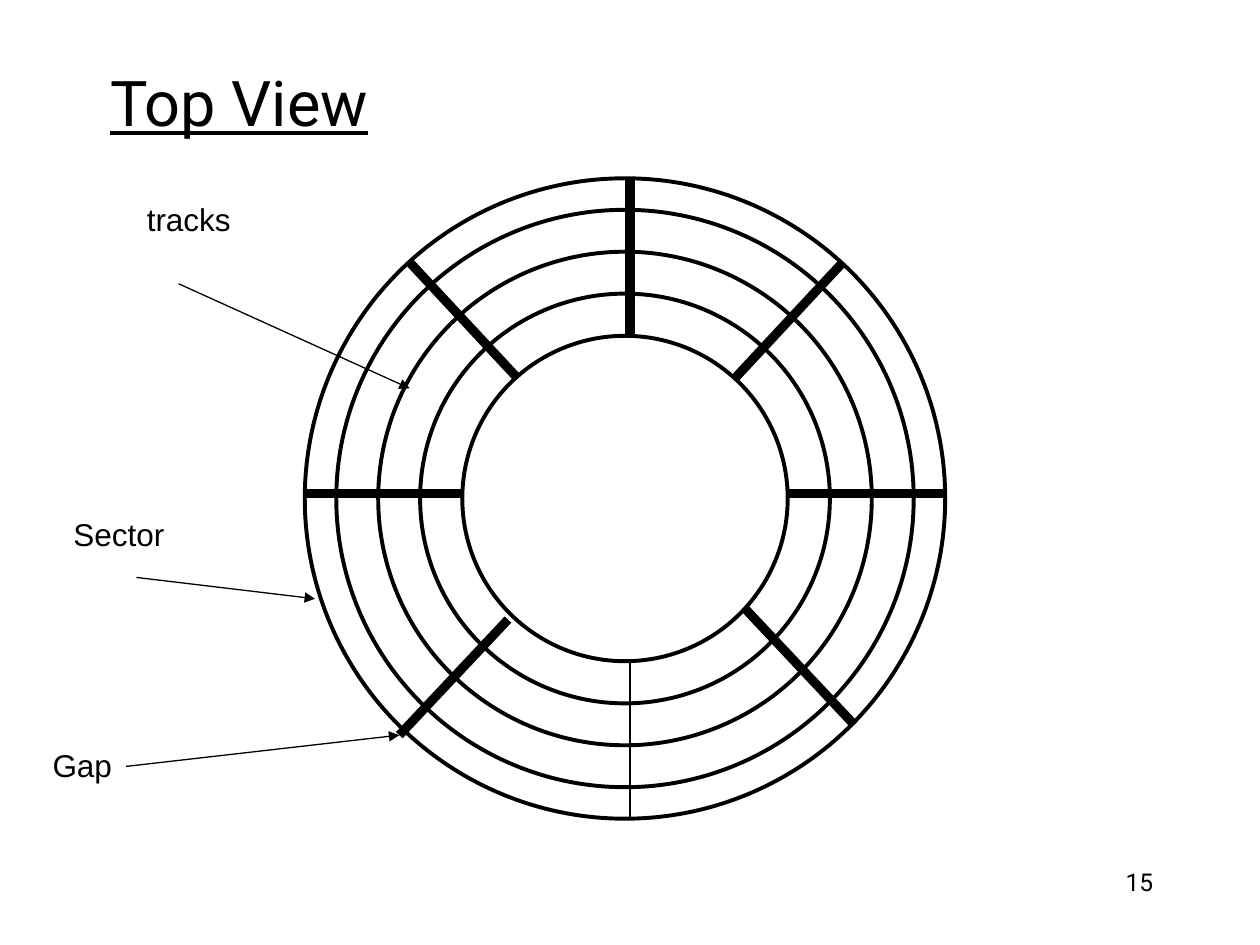
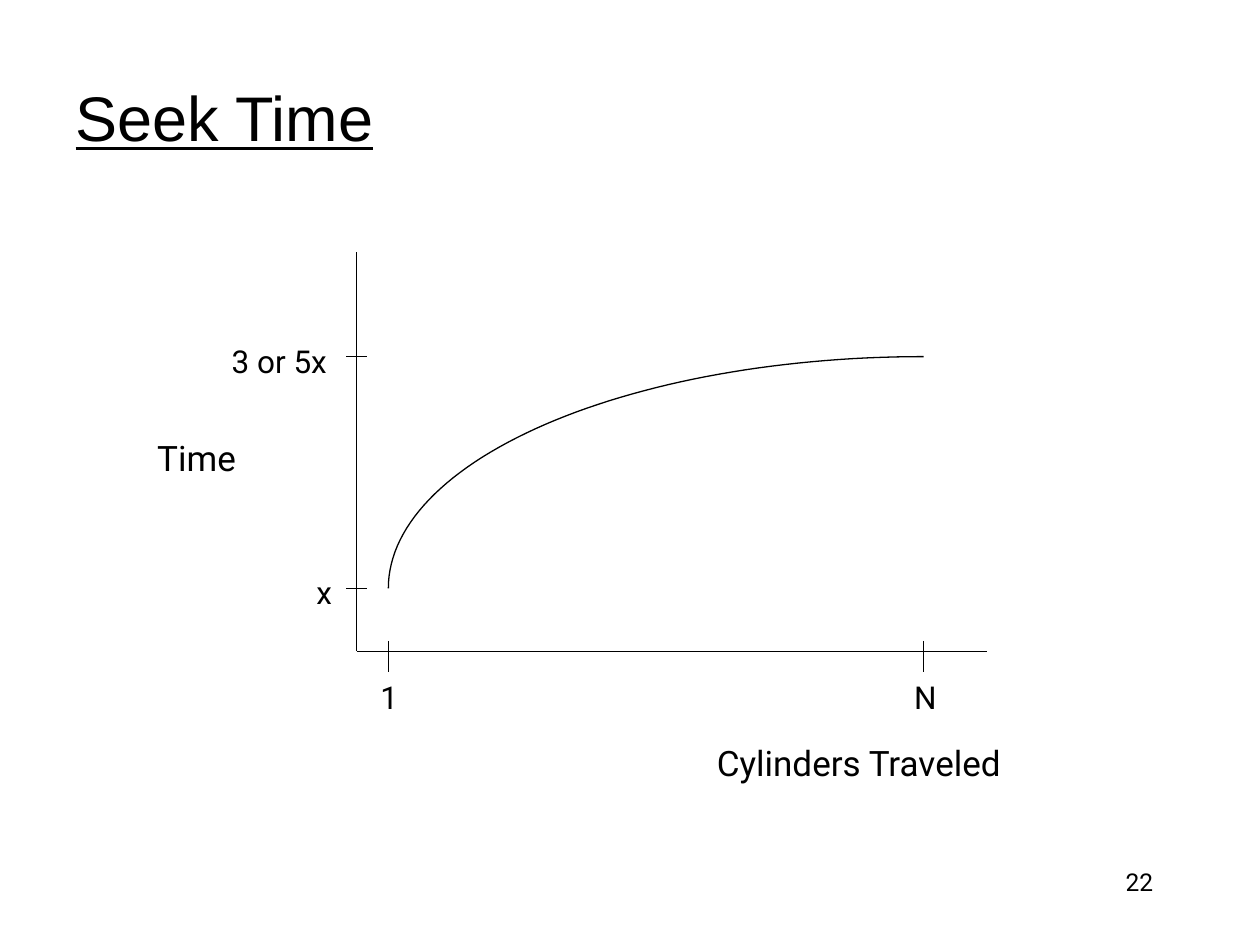
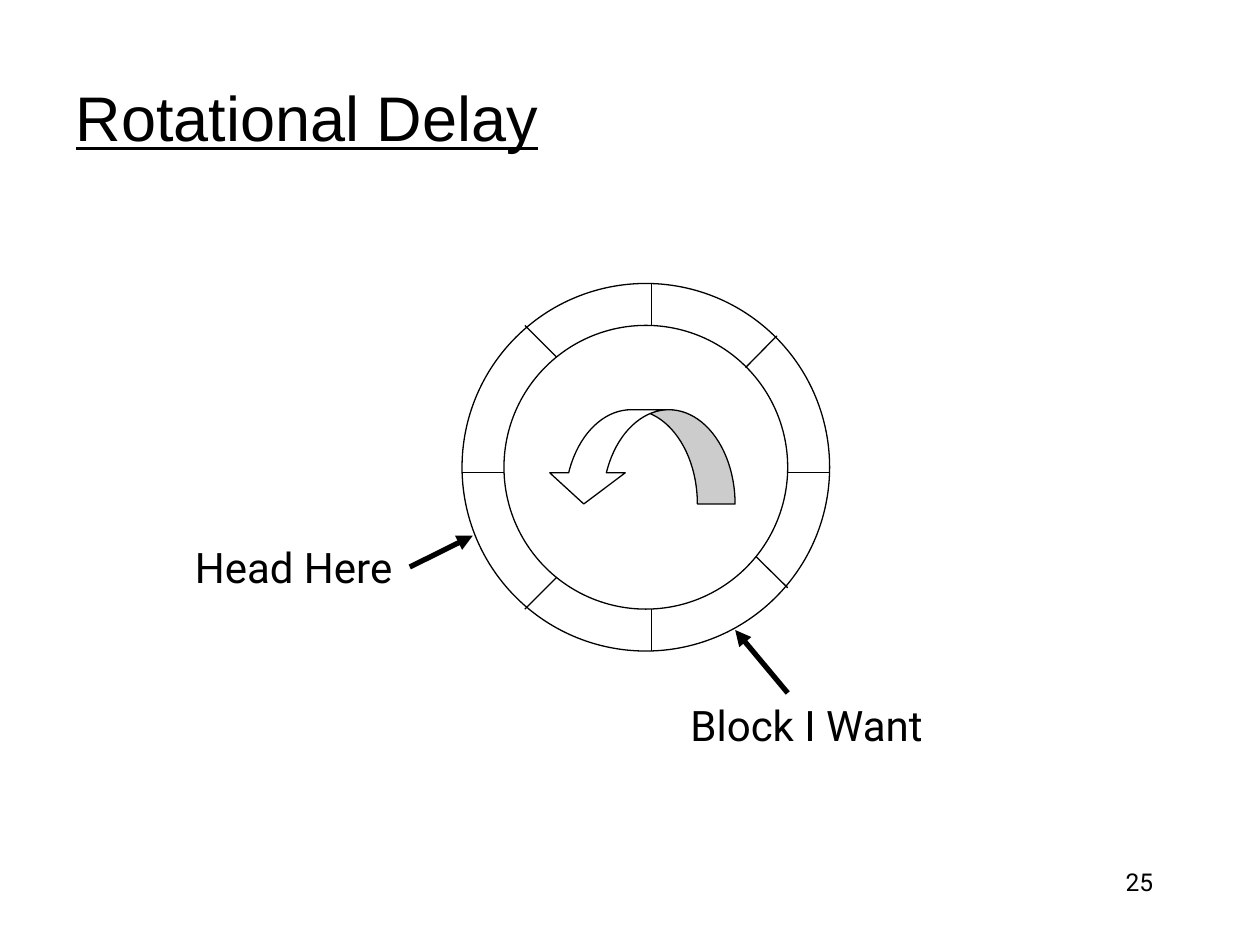
import math

import pptx
import pptx.dml.color
import pptx.enum.shapes
import pptx.enum.text
import pptx.oxml
import pptx.oxml.ns
import pptx.util
from pptx.util import Cm

BLACK = pptx.dml.color.RGBColor(0x00, 0x00, 0x00)
WHITE = pptx.dml.color.RGBColor(0xFF, 0xFF, 0xFF)
SANS, ROBOTO = "Arial", "Roboto"
THIN, RING, POINTER, GAP = 0.75, 2.25, 3, 5.25
WIDE_TITLE = (1.27, 0.76, 22.86, 3.18)
PAGE_NUMBER = (18.21, 17.35, 5.29, 1.27)

TOP_VIEW = {
    "title": ("Top View", ROBOTO, (1.97, 1.15, 5.95, 1.79)),
    "page": "15",
    "centre": (12.6, 10.05),
    "diameters": (12.91, 11.64, 9.95, 8.26, 6.56),
    "ring_width": RING,
    "dividers": [
        (12.7, 16.51, 12.7, 13.34, THIN),
        (12.7, 6.77, 12.7, 3.6, GAP),
        (19.05, 9.95, 15.88, 9.95, GAP),
        (9.31, 9.95, 6.14, 9.95, GAP),
        (16.99, 5.29, 14.82, 7.62, GAP),
        (10.24, 12.49, 8.05, 14.82, GAP),
        (15.03, 12.28, 17.22, 14.61, GAP),
        (8.26, 5.29, 10.43, 7.62, GAP),
    ],
    "pointers": [
        (3.6, 5.72, 8.26, 7.83, THIN),
        (2.75, 11.64, 6.35, 12.07, THIN),
        (2.54, 15.45, 8.05, 14.82, THIN),
    ],
    "labels": [
        ("tracks", 2.71, 3.91, 2.25, 18, SANS),
        ("Sector", 1.23, 10.26, 2.37, 18, SANS),
        ("Gap", 0.81, 14.91, 1.75, 18, SANS),
    ],
}

SEEK_TIME = {
    "title": ("Seek Time", SANS, WIDE_TITLE),
    "page": "22",
    "origin": (7.19, 13.13),
    "axis_ends": (19.9, 5.08),
    "cylinders": (7.83, 18.62),
    "times": (11.86, 7.19),
    "labels": [
        ("3 or 5x", 4.42, 6.77, 2.54, 18, ROBOTO),
        ("x", 6.13, 11.43, 0.85, 18, ROBOTO),
        ("1", 7.42, 13.55, 0.86, 18, ROBOTO),
        ("N", 18.18, 13.55, 0.99, 18, ROBOTO),
        ("Cylinders Traveled", 14.2, 14.82, 6.6, 20, ROBOTO),
        ("Time", 2.92, 8.68, 2.13, 20, ROBOTO),
    ],
}

ROTATIONAL_DELAY = {
    "title": ("Rotational Delay", SANS, WIDE_TITLE),
    "page": "25",
    "centre": (13.02, 9.42),
    "diameters": (7.41, 5.72),
    "ring_width": THIN,
    "dividers": [
        (13.13, 5.72, 13.13, 6.56, THIN),
        (13.13, 12.28, 13.13, 13.12, THIN),
        (15.88, 9.53, 16.72, 9.53, THIN),
        (9.31, 9.53, 10.16, 9.53, THIN),
        (15.03, 7.41, 15.66, 6.77, THIN),
        (10.58, 12.28, 11.22, 11.64, THIN),
        (15.24, 11.22, 15.88, 11.85, THIN),
        (10.58, 6.56, 11.22, 7.2, THIN),
    ],
    "spin": (11.01, 8.26, 3.81, 1.9),
    "spin_adjustments": (0.4, 0.8, 0.33),
    "pointers": [
        (8.26, 11.43, 9.53, 10.8, POINTER),
        (15.88, 13.97, 14.82, 12.7, POINTER),
    ],
    "labels": [
        ("Head Here", 3.68, 10.8, 4.75, 24, ROBOTO),
        ("Block I Want", 13.67, 13.97, 5.46, 24, ROBOTO),
    ],
}


def cm(box):
    return [Cm(length) for length in box]


def write(frame, text, size, font, underline=None, align=pptx.enum.text.PP_ALIGN.LEFT):
    frame.text = text
    paragraph = frame.paragraphs[0]
    paragraph.alignment = align
    paragraph.font.size = pptx.util.Pt(size)
    paragraph.font.name = font
    paragraph.font.underline = underline
    paragraph.font.color.rgb = BLACK


def outline(shape, width):
    shape.line.color.rgb = BLACK
    shape.line.width = pptx.util.Pt(width)


def add_preset(slide, preset, box, width):
    shape = slide.shapes.add_shape(preset, *cm(box))
    shape.shadow.inherit = False
    shape.fill.solid()
    shape.fill.fore_color.rgb = WHITE
    outline(shape, width)
    return shape


def add_line(slide, x1, y1, x2, y2, width=THIN, arrow=False):
    line = slide.shapes.add_connector(
        pptx.enum.shapes.MSO_CONNECTOR.STRAIGHT, *cm((x1, y1, x2, y2)))
    outline(line, width)
    namespace = pptx.oxml.ns.nsdecls("a")
    properties = line._element.spPr
    if arrow:
        properties.find(pptx.oxml.ns.qn("a:ln")).append(
            pptx.oxml.parse_xml(f'<a:tailEnd {namespace} type="triangle"/>'))
    properties.append(pptx.oxml.parse_xml(f"<a:effectLst {namespace}/>"))


def add_label(slide, text, left, top, width, size, font):
    height = 0.25 + size * 0.0425
    label = slide.shapes.add_textbox(*cm((left, top, width, height)))
    label.text_frame.word_wrap = False
    label.text_frame.auto_size = pptx.enum.text.MSO_AUTO_SIZE.SHAPE_TO_FIT_TEXT
    write(label.text_frame, text, size, font)


def add_disk(slide, content):
    x, y = content["centre"]
    for diameter in content["diameters"]:
        box = (x - diameter / 2, y - diameter / 2, diameter, diameter)
        add_preset(slide, pptx.enum.shapes.MSO_SHAPE.OVAL, box, content["ring_width"])
    for divider in content["dividers"]:
        add_line(slide, *divider)


def add_spin(slide, content):
    spin = add_preset(slide, pptx.enum.shapes.MSO_SHAPE.CURVED_DOWN_ARROW,
                      content["spin"], THIN)
    for index, value in enumerate(content["spin_adjustments"]):
        spin.adjustments[index] = value
    spin._element.spPr.xfrm.set("flipH", "1")


def add_seek_plot(slide, content):
    x0, y0 = content["origin"]
    x_end, y_end = content["axis_ends"]
    add_line(slide, x0, y_end, x0, y0)
    add_line(slide, x0, y0, x_end, y0)
    for x in content["cylinders"]:
        add_line(slide, x, y0 - 0.21, x, y0 + 0.42)
    for y in content["times"]:
        add_line(slide, x0 - 0.21, y, x0 + 0.21, y)

    (first, last), (low, high) = content["cylinders"], content["times"]
    angles = [math.pi / 2 * step / 60 for step in range(61)]
    points = [cm((last - (last - first) * math.cos(angle),
                  low - (low - high) * math.sin(angle))) for angle in angles]
    builder = slide.shapes.build_freeform(*points[0])
    builder.add_line_segments(points[1:], close=False)
    curve = builder.convert_to_shape()
    curve.shadow.inherit = False
    curve.fill.background()
    outline(curve, THIN)


def add_slide(deck, content):
    slide = deck.slides.add_slide(deck.slide_layouts[5])
    text, font, box = content["title"]
    title = slide.shapes.title
    title.left, title.top, title.width, title.height = cm(box)
    title.text_frame.vertical_anchor = pptx.enum.text.MSO_ANCHOR.MIDDLE
    write(title.text_frame, text, 36, font, underline=True)

    page = slide.shapes.add_textbox(*cm(PAGE_NUMBER))
    page.text_frame.word_wrap = True
    write(page.text_frame, content["page"], 14, ROBOTO,
          align=pptx.enum.text.PP_ALIGN.RIGHT)

    if "diameters" in content:
        add_disk(slide, content)
    if "spin" in content:
        add_spin(slide, content)
    if "origin" in content:
        add_seek_plot(slide, content)
    for pointer in content.get("pointers", []):
        add_line(slide, *pointer, arrow=True)
    for label in content["labels"]:
        add_label(slide, *label)


def main():
    deck = pptx.Presentation()
    deck.slide_width, deck.slide_height = Cm(25.4), Cm(19.05)
    for content in (TOP_VIEW, SEEK_TIME, ROTATIONAL_DELAY):
        add_slide(deck, content)
    deck.save("out.pptx")


if __name__ == "__main__":
    main()
